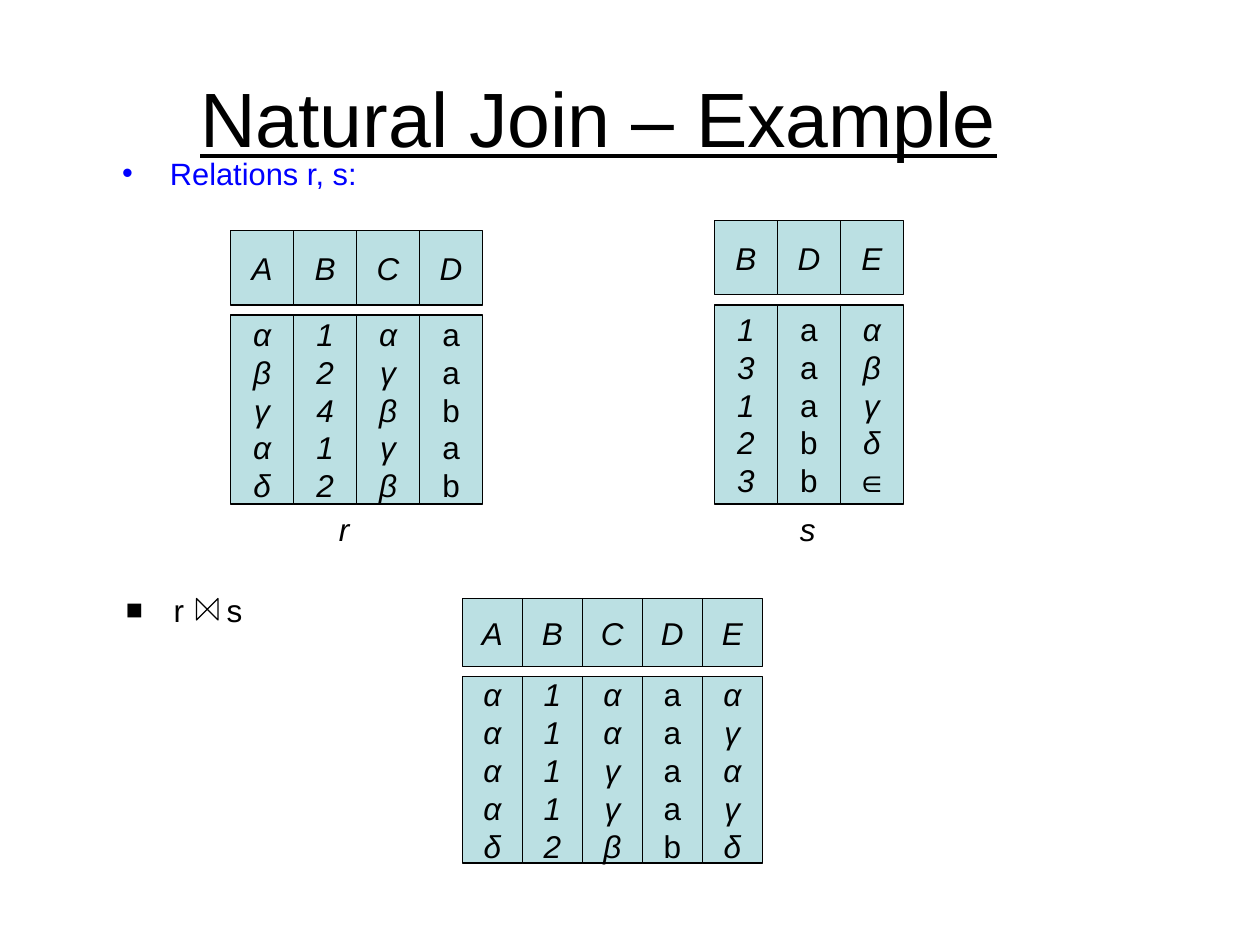
from pptx import Presentation
from pptx import util as u
from pptx.dml.color import RGBColor
from pptx.enum import shapes, text
from pptx.oxml.ns import qn
from lxml import etree

COLORS = {"ink": "000000", "heading": "0000FF", "cell": "BBE0E3"}
HEADER_GAP = u.Inches(0.08)
INDENT = u.Inches(0.38)
UPRIGHT_COLUMN = "D"


def rgb(name):
    return RGBColor.from_string(COLORS[name])


def set_font(paragraph, size=18, color="ink", italic=False, underline=False):
    font = paragraph.font
    font.name = "Arial"
    font.size = u.Pt(size)
    font.italic = italic
    font.underline = underline
    font.color.rgb = rgb(color)


def write_lines(shape, lines, align=text.PP_ALIGN.CENTER, wrap=False, **font):
    frame = shape.text_frame
    frame.word_wrap = wrap
    frame.vertical_anchor = text.MSO_ANCHOR.MIDDLE
    frame.text = "\n".join(lines)
    for paragraph in frame.paragraphs:
        paragraph.alignment = align
        set_font(paragraph, **font)


def add_outlined(collection, kind, left, top, width, height):
    shape = collection.add_shape(kind, left, top, width, height)
    shape.shadow.inherit = False
    shape.line.color.rgb = rgb("ink")
    shape.line.width = u.Pt(0.75)
    return shape


def add_title(slide, box, words):
    title = slide.shapes.add_textbox(*box)
    write_lines(title, [words], wrap=True, size=44, underline=True)


def add_bullet(collection, box, words, mark, size=18, color="ink", mark_size=100, tab=None):
    """Add a one-line bulleted text; tab is a stop measured from the text's left edge."""
    shape = collection.add_textbox(*box)
    frame = shape.text_frame
    frame.word_wrap = True
    paragraph = frame.paragraphs[0]
    properties = paragraph._p.get_or_add_pPr()
    properties.set("marL", str(INDENT))
    properties.set("indent", str(-INDENT))
    bullet_color = etree.SubElement(properties, qn("a:buClr"))
    etree.SubElement(bullet_color, qn("a:srgbClr"), val=COLORS[color])
    etree.SubElement(properties, qn("a:buSzPct"), val=str(mark_size * 1000))
    etree.SubElement(properties, qn("a:buFont"), typeface="Arial")
    etree.SubElement(properties, qn("a:buChar"), char=mark)
    if tab is not None:
        tabs = etree.SubElement(properties, qn("a:tabLst"))
        etree.SubElement(tabs, qn("a:tab"), pos=str(tab), algn="l")
    set_font(paragraph, size, color)
    paragraph.add_run().text = words


def add_relation(slide, box, header_height, columns):
    """Draw a header cell and one tall value cell for each column."""
    left, top, width, height = box
    column_width = width // len(columns)
    body_offset = header_height + HEADER_GAP
    for index, (name, values) in enumerate(columns):
        x = left + index * column_width
        cells = [
            (top, header_height, name, True),
            (top + body_offset, height - body_offset, values, name != UPRIGHT_COLUMN),
        ]
        for y, cell_height, lines, italic in cells:
            cell = add_outlined(slide.shapes, shapes.MSO_SHAPE.RECTANGLE,
                                x, y, column_width, cell_height)
            cell.fill.solid()
            cell.fill.fore_color.rgb = rgb("cell")
            write_lines(cell, lines, italic=italic)


def add_relation_name(slide, box, name):
    write_lines(slide.shapes.add_textbox(*box), [name], italic=True)


def add_join_expression(slide, box):
    left, top, width, height = box
    group = slide.shapes.add_group_shape().shapes
    add_bullet(group, box, "r\ts", "■", mark_size=90, tab=u.Inches(0.8))
    size = u.Inches(0.17)
    bowtie = add_outlined(group, shapes.MSO_SHAPE.FLOWCHART_COLLATE,
                          left + u.Inches(0.66), top + u.Inches(0.11), size, size)
    bowtie.fill.background()
    bowtie.rotation = 270


def inches(*lengths):
    return [u.Inches(length) for length in lengths]


def main():
    presentation = Presentation()
    presentation.slide_width, presentation.slide_height = inches(10, 7.5)
    slide = presentation.slides.add_slide(presentation.slide_layouts[6])

    add_title(slide, inches(0, 0.3, 9.5, 1.25), "Natural Join – Example")
    add_bullet(slide.shapes, inches(0.87, 1.18, 7.48, 0.42), "Relations r, s:", "•",
               size=17.6, color="heading")

    add_relation(slide, inches(1.83, 1.83, 2, 2.17), u.Inches(0.59),
                 [("A", "αβγαδ"), ("B", "12412"), ("C", "αγβγβ"), ("D", "aabab")])
    add_relation_name(slide, inches(2.59, 4, 0.28, 0.4), "r")

    add_relation(slide, inches(5.67, 1.75, 1.5, 2.25), u.Inches(0.59),
                 [("B", "13123"), ("D", "aaabb"), ("E", "αβγδ∈")])
    add_relation_name(slide, inches(6.25, 4, 0.32, 0.4), "s")

    add_join_expression(slide, inches(0.9, 4.64, 7.69, 0.45))
    add_relation(slide, inches(3.67, 4.75, 2.38, 2.1), u.Inches(0.54),
                 [("A", "ααααδ"), ("B", "11112"), ("C", "ααγγβ"),
                  ("D", "aaaab"), ("E", "αγαγδ")])

    presentation.save("out.pptx")


if __name__ == "__main__":
    main()
